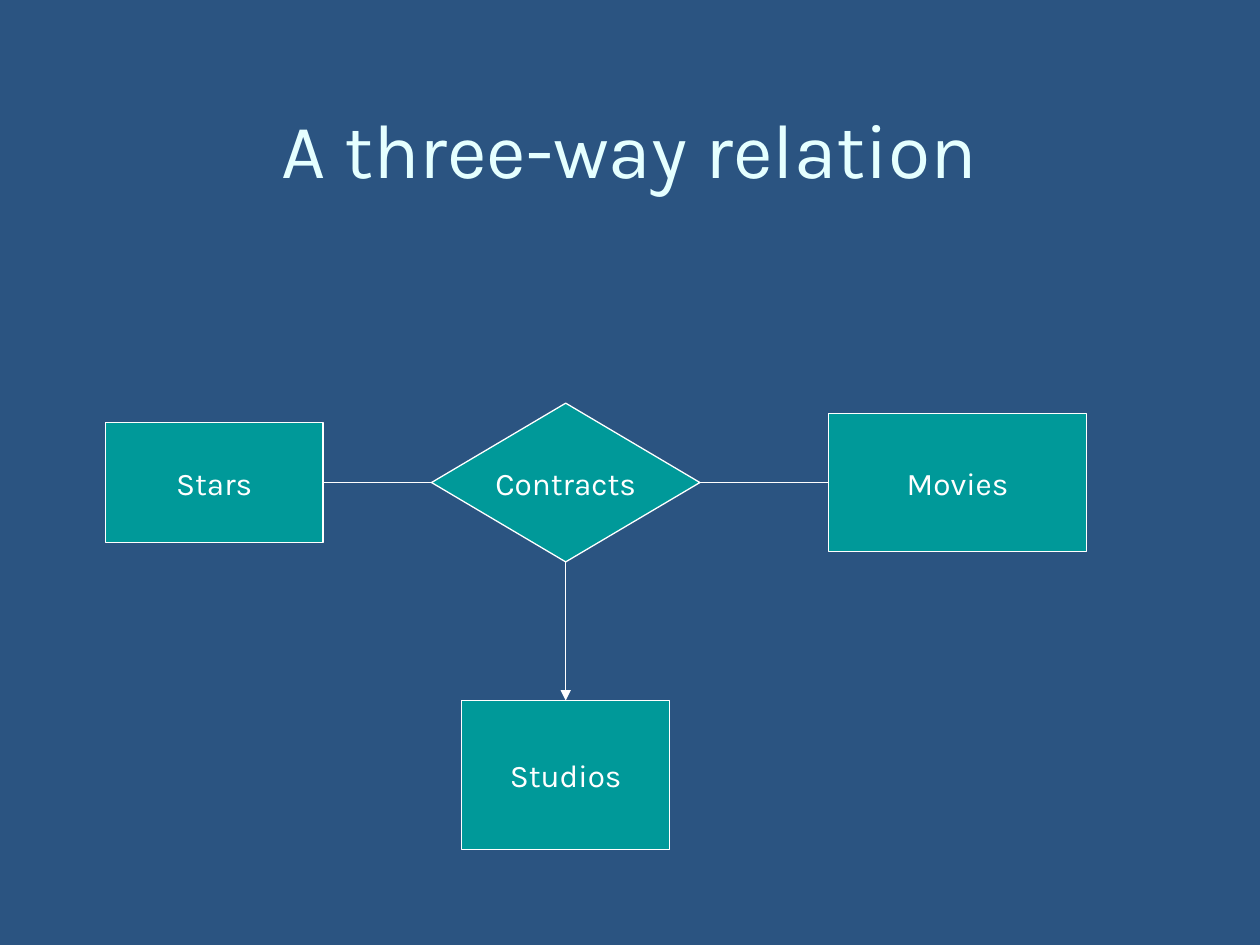
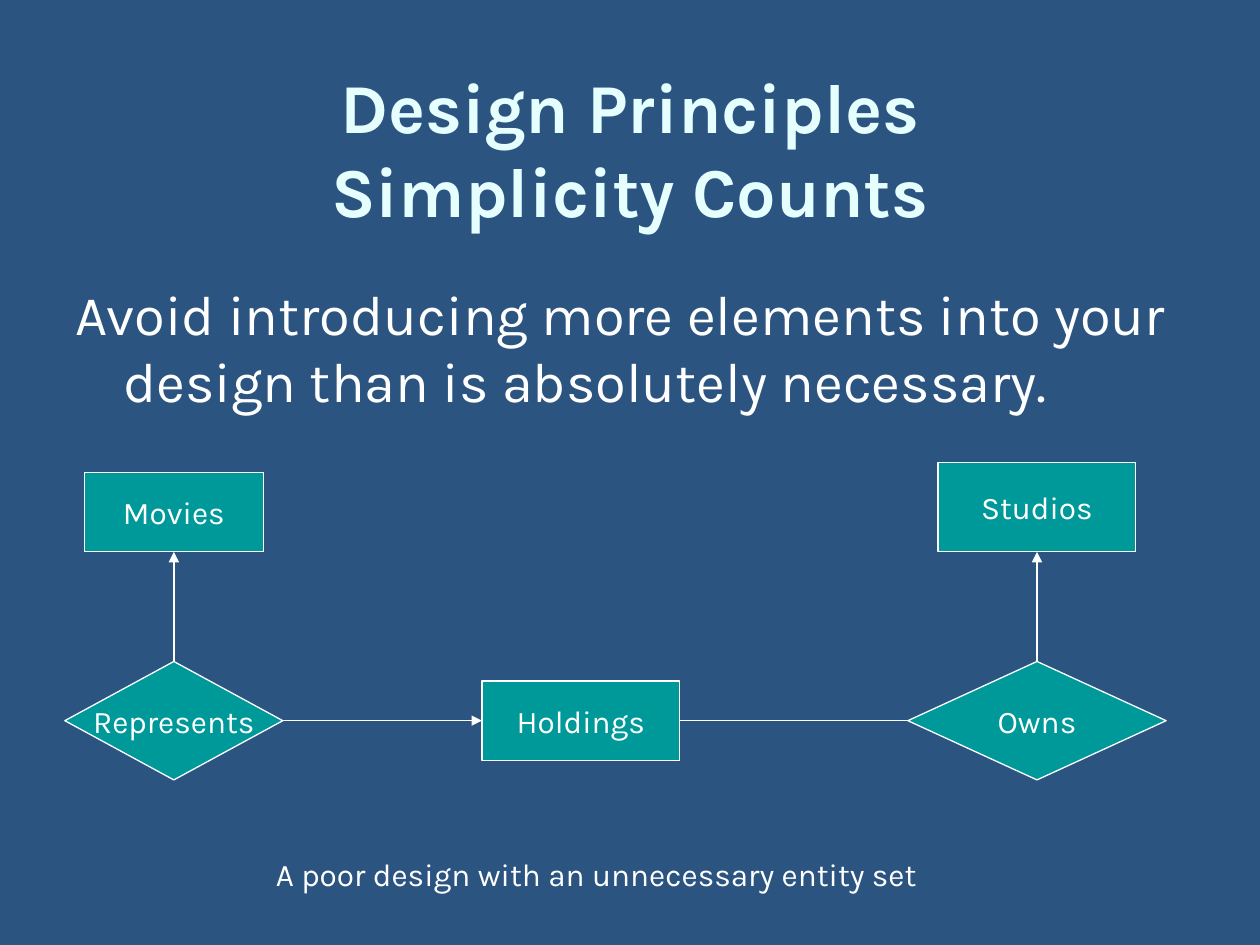
from pptx import Presentation
from pptx import util as u
from pptx.dml.color import RGBColor
from pptx.enum import shapes, text
from pptx.oxml import parse_xml
from pptx.oxml.ns import nsdecls, qn

NAVY = RGBColor(0x2B, 0x54, 0x81)
TEAL = RGBColor(0x00, 0x99, 0x99)
WHITE = RGBColor(0xFF, 0xFF, 0xFF)
PALE_CYAN = RGBColor(0xE5, 0xFF, 0xFF)
FONT = "Karla"
LABEL_SIZE = 18
LINE_WIDTH = u.Pt(0.75)

ENTITY = shapes.MSO_SHAPE.RECTANGLE
RELATION = shapes.MSO_SHAPE.FLOWCHART_DECISION
STRAIGHT = shapes.MSO_CONNECTOR.STRAIGHT
ELBOW = shapes.MSO_CONNECTOR.ELBOW
TOP, LEFT, BOTTOM, RIGHT = range(4)  # connection sites of both node kinds


def write(frame, words, size, color=WHITE, align=text.PP_ALIGN.LEFT, bold=False):
    frame.text = words
    for paragraph in frame.paragraphs:
        paragraph.alignment = align
        for run in paragraph.runs:
            run.font.name = FONT
            run.font.size = u.Pt(size)
            run.font.bold = bold
            run.font.color.rgb = color


def add_titled_slide(prs, words, size, bold=False):
    slide = prs.slides.add_slide(prs.slide_layouts[5])
    title = slide.shapes.title
    title.left, title.top = u.Inches(0.5), u.Inches(0.42)
    title.width, title.height = u.Inches(9), u.Inches(1.5)
    frame = title.text_frame
    frame.auto_size = text.MSO_AUTO_SIZE.NONE
    frame.vertical_anchor = text.MSO_ANCHOR.MIDDLE
    write(frame, words, size, PALE_CYAN, text.PP_ALIGN.CENTER, bold)
    return slide


def add_paragraph_box(slide, box, words, size, hanging=0):
    """Place left-aligned text in box, with a hanging indent in inches."""
    frame = slide.shapes.add_textbox(*map(u.Inches, box)).text_frame
    frame.word_wrap = True
    write(frame, words, size)
    if hanging:
        properties = frame.paragraphs[0]._p.get_or_add_pPr()
        properties.set("marL", str(u.Inches(hanging)))
        properties.set("indent", str(-u.Inches(hanging)))


def add_node(slide, kind, label, center, size):
    """Draw an entity or relation around its center point."""
    (x, y), (width, height) = center, size
    node = slide.shapes.add_shape(
        kind, u.Inches(x - width / 2), u.Inches(y - height / 2),
        u.Inches(width), u.Inches(height))
    node.shadow.inherit = False
    node.fill.solid()
    node.fill.fore_color.rgb = TEAL
    node.line.color.rgb = WHITE
    node.line.width = LINE_WIDTH
    frame = node.text_frame
    frame.word_wrap = False
    frame.vertical_anchor = text.MSO_ANCHOR.MIDDLE
    write(frame, label, LABEL_SIZE, align=text.PP_ALIGN.CENTER)
    return node


def link(slide, start, start_site, end, end_site, arrow=False, kind=STRAIGHT):
    connector = slide.shapes.add_connector(kind, 0, 0, 0, 0)
    connector.begin_connect(start, start_site)
    connector.end_connect(end, end_site)
    connector.line.color.rgb = WHITE
    connector.line.width = LINE_WIDTH
    properties = connector._element.spPr
    if arrow:
        properties.find(qn("a:ln")).append(
            parse_xml(f'<a:tailEnd {nsdecls("a")} type="triangle"/>'))
    properties.append(parse_xml(f'<a:effectLst {nsdecls("a")}/>'))


def draw_three_way_relation(slide, left, top):
    """Three entities around one relation, measured from the left and top given."""
    row_y, hub_x = top + 0.63, left + 3.66
    stars = add_node(slide, ENTITY, "Stars", (left + 0.87, row_y), (1.73, 0.95))
    movies = add_node(slide, ENTITY, "Movies", (left + 6.77, row_y), (2.05, 1.1))
    contracts = add_node(slide, RELATION, "Contracts", (hub_x, row_y), (2.13, 1.26))
    studios = add_node(slide, ENTITY, "Studios", (hub_x, top + 2.95), (1.65, 1.18))
    link(slide, stars, RIGHT, contracts, LEFT)
    link(slide, contracts, RIGHT, movies, LEFT)
    link(slide, contracts, BOTTOM, studios, TOP, arrow=True)


def draw_holdings_design(slide, left, top):
    """A chain of two relations through Holdings, with an entity above each end."""
    row_y, entity_bottom = top + 2.05, top + 0.71
    movies_x, holdings_x, studios_x = left + 0.87, left + 4.1, left + 7.72
    movies = add_node(slide, ENTITY, "Movies",
                      (movies_x, entity_bottom - 0.63 / 2), (1.42, 0.63))
    represents = add_node(slide, RELATION, "Represents", (movies_x, row_y), (1.73, 0.94))
    holdings = add_node(slide, ENTITY, "Holdings", (holdings_x, row_y), (1.57, 0.63))
    owns = add_node(slide, RELATION, "Owns", (studios_x, row_y), (2.05, 0.94))
    studios = add_node(slide, ENTITY, "Studios",
                       (studios_x, entity_bottom - 0.71 / 2), (1.57, 0.71))
    link(slide, represents, RIGHT, holdings, LEFT, arrow=True, kind=ELBOW)
    link(slide, represents, TOP, movies, BOTTOM, arrow=True)
    link(slide, holdings, RIGHT, owns, LEFT, kind=ELBOW)
    link(slide, owns, TOP, studios, BOTTOM, arrow=True)


def build_relation_slide(prs):
    slide = add_titled_slide(prs, "A three-way relation", 44)
    draw_three_way_relation(slide, 0.83, 3.2)


def build_simplicity_slide(prs):
    slide = add_titled_slide(prs, "Design Principles\vSimplicity Counts", 40, bold=True)
    add_paragraph_box(
        slide, (0.5, 2.17, 9, 1.35),
        "Avoid introducing more elements into your design than is absolutely necessary.",
        32, hanging=0.38)
    draw_holdings_design(slide, 0.51, 3.67)
    add_paragraph_box(slide, (2.09, 6.74, 5.35, 0.4),
                      "A poor design with an unnecessary entity set", LABEL_SIZE)


def main():
    prs = Presentation()
    prs.slide_width, prs.slide_height = u.Inches(10), u.Inches(7.5)
    background = prs.slide_master.background.fill
    background.solid()
    background.fore_color.rgb = NAVY
    build_relation_slide(prs)
    build_simplicity_slide(prs)
    prs.save("out.pptx")


if __name__ == "__main__":
    main()
